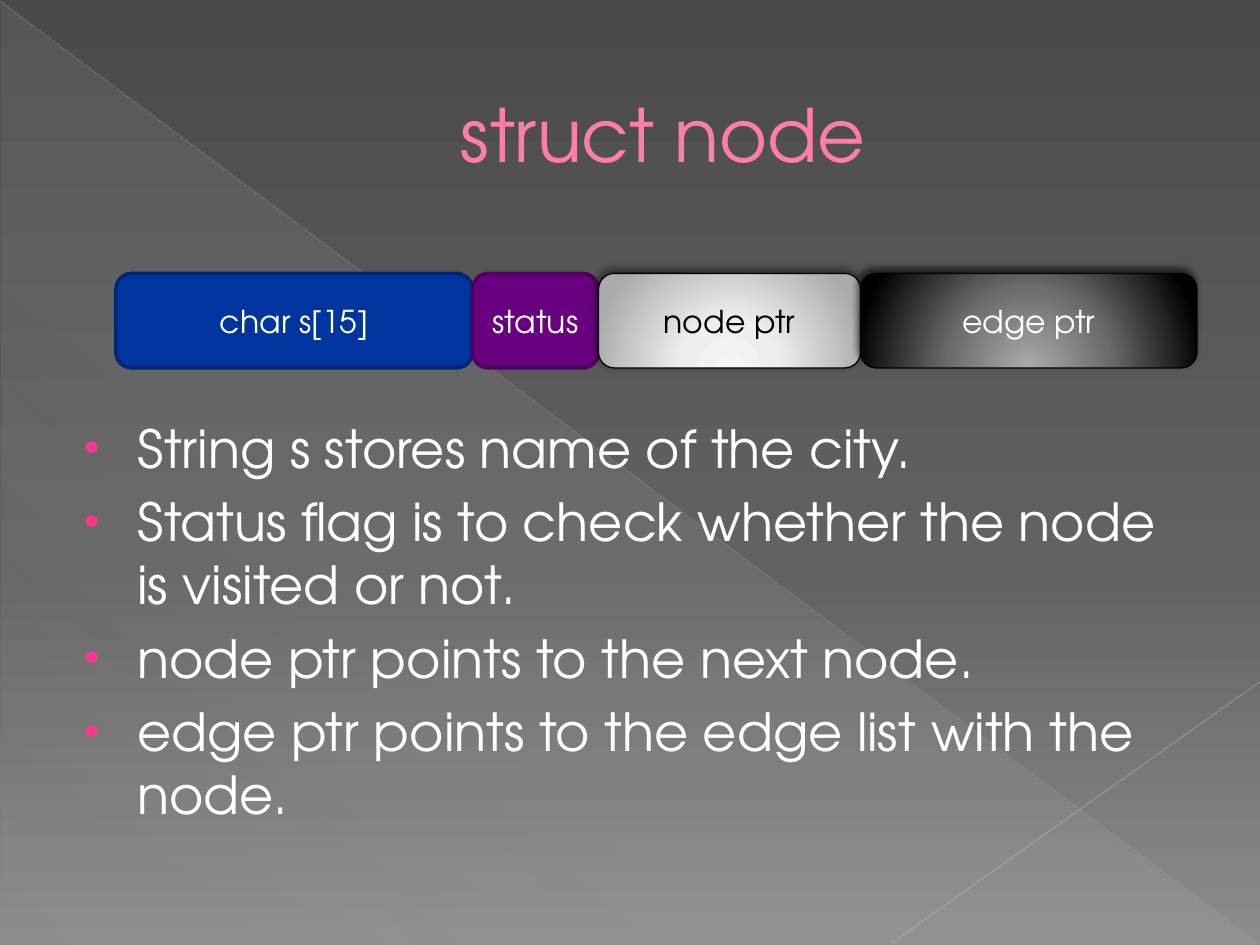
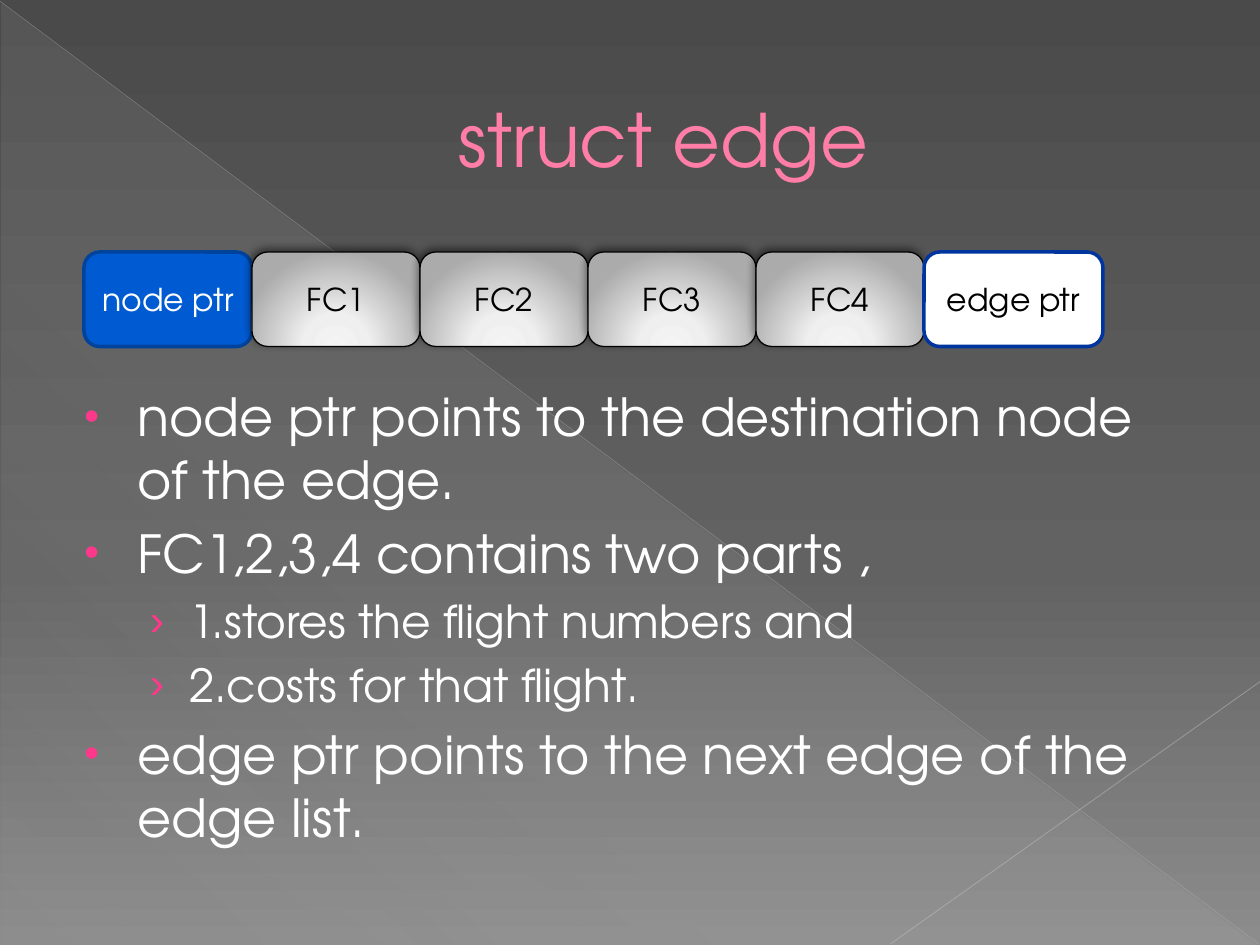
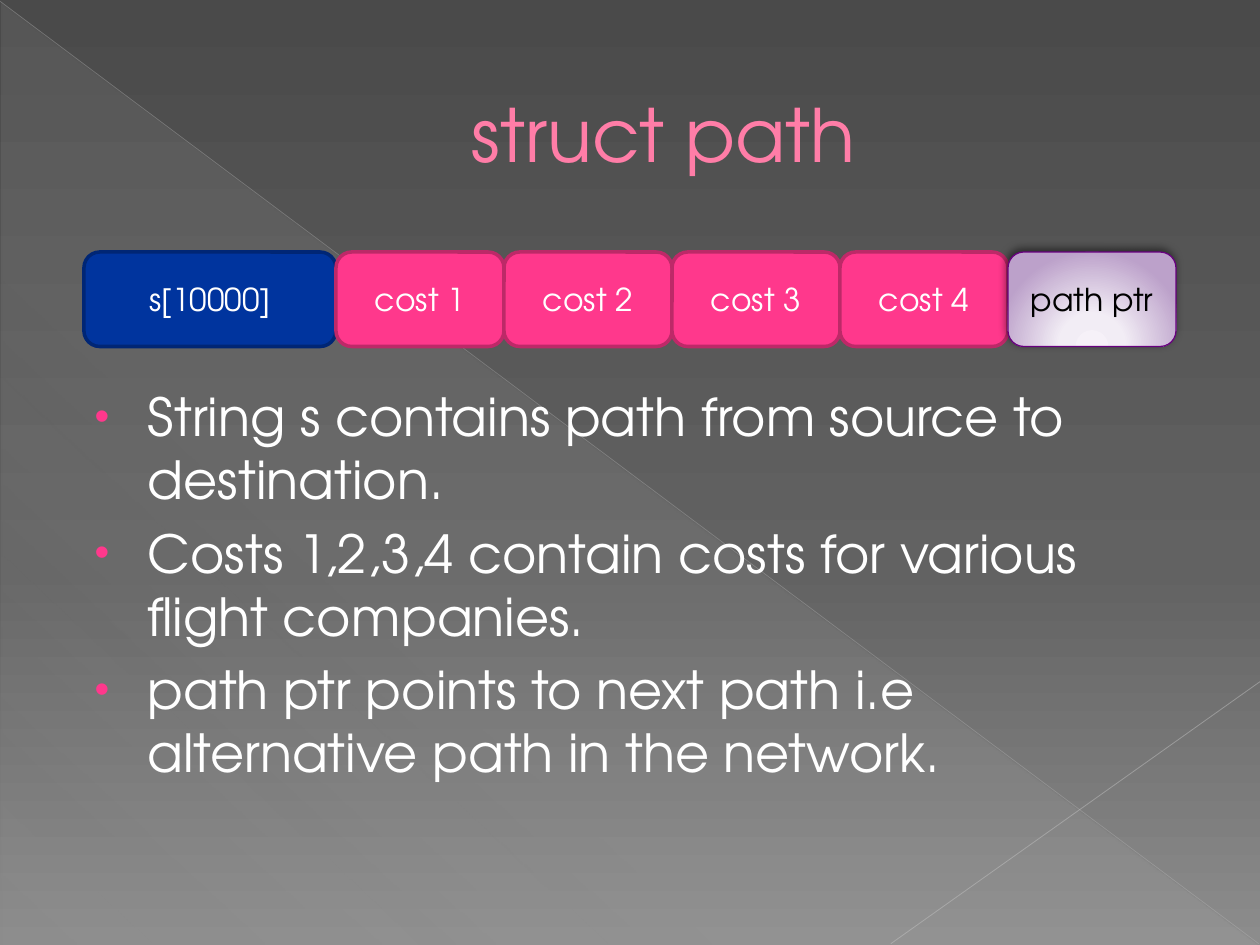
"""Build three slides on the node, edge and path structs of a flight network."""
from lxml import etree
from pptx import Presentation
from pptx.dml.color import RGBColor
from pptx.enum.shapes import MSO_CONNECTOR, MSO_SHAPE
from pptx.enum.text import MSO_ANCHOR, MSO_AUTO_SIZE, PP_ALIGN
from pptx.oxml.ns import qn
from pptx.util import Inches, Pt

ROUND_RECT, TRIANGLE = MSO_SHAPE.ROUNDED_RECTANGLE, MSO_SHAPE.RIGHT_TRIANGLE
STRAIGHT = MSO_CONNECTOR.STRAIGHT
CENTER, MIDDLE, TOP = PP_ALIGN.CENTER, MSO_ANCHOR.MIDDLE, MSO_ANCHOR.TOP
NO_FIT = MSO_AUTO_SIZE.NONE

FONT = "TeX Gyre Adventor"
COLORS = {
    "title": "FF7DA7", "title_line": "B12761", "pink": "FF388C", "pink_line": "BD2968",
    "navy": "00349E", "navy_line": "002675", "blue": "005BD3", "blue_line": "00439C",
    "purple": "68007F", "purple_line": "4D005E", "white": "FFFFFF", "black": "000000",
    "veil": "D2D2D2", "diagonal": "BFBFBF", "corner": "C6C6C6",
}
BACKGROUND = [(0, "4A4A4A"), (60, "626262"), (100, "8C8C8C")]
SILVER = [(0, "F4F4F4"), (34, "EFEFEF"), (100, "ABABAB")]
DARK = [(0, "ABABAB"), (46, "6C6C6C"), (100, "000000")]
LILAC = [(0, "F6F1F8"), (34, "F2EDF5"), (100, "BCA1CA")]
SOFT_SHADOW, DEEP_SHADOW = (50, 5, 2), (60, 4, 3)

# style: fill, line, line width, text, shadow (opacity, blur, distance)
STYLES = {
    "navy": ("navy", "navy_line", 2, "white", None),
    "blue": ("blue", "blue_line", 2, "white", None),
    "purple": ("purple", "purple_line", 2, "white", None),
    "pink": ("pink", "pink_line", 2, "white", None),
    "outline": ("white", "navy", 2, "black", None),
    "silver": (SILVER, "black", 0.75, "black", SOFT_SHADOW),
    "dark": (DARK, "black", 0.75, "white", DEEP_SHADOW),
    "lilac": (LILAC, "purple", 0.75, "black", SOFT_SHADOW),
}
LEVELS = [(0.49, -0.42, "•", 80, 30), (0.9, -0.31, "›", 95, 26)]
UNIT = 4 / 3
SLIDES = [
    {
        "title": "struct node", "title_top": 0.29, "row": (0.92, 2.17),
        "fields": [("char s[15]", 2.83, "navy"), ("status", 1, "purple"),
                   ("node ptr", 2.08, "silver"), ("edge ptr", 2.67, "dark")],
        "body": (0.5, 3.25, 9, 3.81),
        "items": [(0, "String s stores name of the city."),
                  (0, "Status flag is to check whether the node is visited or not."),
                  (0, "node ptr points to the next node."),
                  (0, "edge ptr points to the edge list with the node.")],
    },
    {
        "title": "struct edge", "title_top": 0.33, "row": (UNIT / 2, 2),
        "fields": [("node ptr", UNIT, "blue"),
                   *[(f"FC{n}", UNIT, "silver") for n in range(1, 5)],
                   ("edge ptr", 1.42, "outline")],
        "body": (0.5, 3, 9, 4.06),
        "items": [(0, "node ptr points to the destination node of the edge."),
                  (0, "FC1,2,3,4 contains two parts ,"),
                  (1, "1.stores the flight numbers and"),
                  (1, "2.costs for that flight."),
                  (0, "edge ptr points to the next edge of the edge list.")],
    },
    {
        "title": "struct path", "title_top": 0.29, "row": (UNIT / 2, 2),
        "fields": [("s[10000]", 2, "navy"),
                   *[(f"cost {n}", UNIT, "pink") for n in range(1, 5)],
                   ("path ptr", UNIT, "lilac")],
        "body": (0.58, 3, 9, 3.06),
        "items": [(0, "String s contains path from source to destination."),
                  (0, "Costs 1,2,3,4 contain costs for various flight companies."),
                  (0, "path ptr points to next path i.e alternative path in the network.")],
    },
]


def add(parent, tag, **attrs):
    return etree.SubElement(parent, qn(tag), {k: str(v) for k, v in attrs.items()})


def set_gradient(fill, root, stops, angle=None):
    fill.gradient()
    grad = next(root.iter(qn("a:gradFill")))
    for child in list(grad):
        grad.remove(child)
    gs_list = add(grad, "a:gsLst")
    for pos, color, *alpha in stops:
        clr = add(add(gs_list, "a:gs", pos=pos * 1000), "a:srgbClr", val=color)
        for value in alpha:
            add(clr, "a:alpha", val=value * 1000)
    if angle is None:
        circle = add(grad, "a:path", path="circle")
        add(circle, "a:fillToRect", l=50000, t=155000, r=50000, b=-55000)
    else:
        add(grad, "a:lin", ang=angle * 60000, scaled=0)


prs = Presentation()
prs.slide_width, prs.slide_height = Inches(10), Inches(7.5)
master = prs.slide_master
set_gradient(master.background.fill, master.element, BACKGROUND, 90)
slides = [prs.slides.add_slide(prs.slide_layouts[1]) for _ in SLIDES]

shapes = slides[0].shapes
veil = shapes.add_shape(TRIANGLE, Inches(0.01), Inches(0.02), Inches(9.98), Inches(7.48))
veil.shadow.inherit = False
veil.line.fill.background()
set_gradient(veil.fill, veil.element.spPr,
             [(pos, COLORS["veil"], alpha) for pos, alpha in ((0, 10), (70, 8), (100, 1))], 133)
decor = [veil]
for ends, color, width, alpha in [((0, 0.01, 9.99, 7.49), "diagonal", 0.39, 35),
                                  ((10, 5.41, 7.07, 7.49), "corner", 0.47, 45)]:
    line = shapes.add_connector(STRAIGHT, *map(Inches, ends))
    line.line.color.rgb = RGBColor.from_string(COLORS[color])
    line.line.width = Pt(width)
    spPr = line.element.spPr
    add(next(spPr.iter(qn("a:srgbClr"))), "a:alpha", val=alpha * 1000)
    add(spPr, "a:effectLst")
    decor.append(line)
for i, sp in enumerate(decor):
    next(sp.element.iter(qn("p:cNvPr"))).set("id", str(20 + i))
    master.shapes.element.insert(2 + i, sp.element)

for s, data in zip(slides, SLIDES):
    title, body = s.shapes.title, s.placeholders[1]
    boxes = [(title, (0.5, data["title_top"], 9, 1.53), MIDDLE), (body, data["body"], TOP)]
    for sp, box, anchor in boxes:
        sp.left, sp.top, sp.width, sp.height = map(Inches, box)
        sp.text_frame.auto_size = NO_FIT
        sp.text_frame.vertical_anchor = anchor

    title.text_frame.text = data["title"]
    p = title.text_frame.paragraphs[0]
    p.alignment = CENTER
    pPr = p._p.get_or_add_pPr()
    pPr.set("marL", str(Inches(0.53)))
    pPr.set("indent", "0")
    r = p.runs[0]
    r.font.name, r.font.size = FONT, Pt(42)
    r.font.color.rgb = RGBColor.from_string(COLORS["title"])
    ln = etree.Element(qn("a:ln"), w=str(Pt(0.5)))
    add(add(ln, "a:solidFill"), "a:srgbClr", val=COLORS["title_line"])
    r._r.get_or_add_rPr().insert(0, ln)

    tf = body.text_frame
    tf.text = "\n".join(text for _, text in data["items"])
    for p, (level, _) in zip(tf.paragraphs, data["items"]):
        margin, indent, bullet, percent, size = LEVELS[level]
        p.level = level
        pPr = p._p.get_or_add_pPr()
        pPr.set("marL", str(Inches(margin)))
        pPr.set("indent", str(Inches(indent)))
        add(add(pPr, "a:buClr"), "a:srgbClr", val=COLORS["pink"])
        add(pPr, "a:buSzPct", val=percent * 1000)
        add(pPr, "a:buChar", char=bullet)
        r = p.runs[0]
        r.font.name, r.font.size = FONT, Pt(size)
        r.font.color.rgb = RGBColor.from_string(COLORS["white"])

    left, top = data["row"]
    for text, width, style in data["fields"]:
        fill, line, weight, color, shadow = STYLES[style]
        sp = s.shapes.add_shape(ROUND_RECT, Inches(left), Inches(top), Inches(width), Inches(0.75))
        left += width
        sp.shadow.inherit = False
        if isinstance(fill, str):
            sp.fill.solid()
            sp.fill.fore_color.rgb = RGBColor.from_string(COLORS[fill])
        else:
            set_gradient(sp.fill, sp.element.spPr, fill)
        sp.line.color.rgb = RGBColor.from_string(COLORS[line])
        sp.line.width = Pt(weight)
        if shadow:
            alpha, blur, dist = shadow
            outer = add(sp.element.spPr.find(qn("a:effectLst")), "a:outerShdw",
                        blurRad=Pt(blur), dist=Pt(dist), dir=245 * 60000, rotWithShape=0)
            add(add(outer, "a:srgbClr", val=COLORS["black"]), "a:alpha", val=alpha * 1000)
        tf = sp.text_frame
        tf.text = text
        tf.vertical_anchor = MIDDLE
        p = tf.paragraphs[0]
        p.alignment = CENTER
        r = p.runs[0]
        r.font.name, r.font.size = FONT, Pt(18)
        r.font.color.rgb = RGBColor.from_string(COLORS[color])

prs.save("out.pptx")
